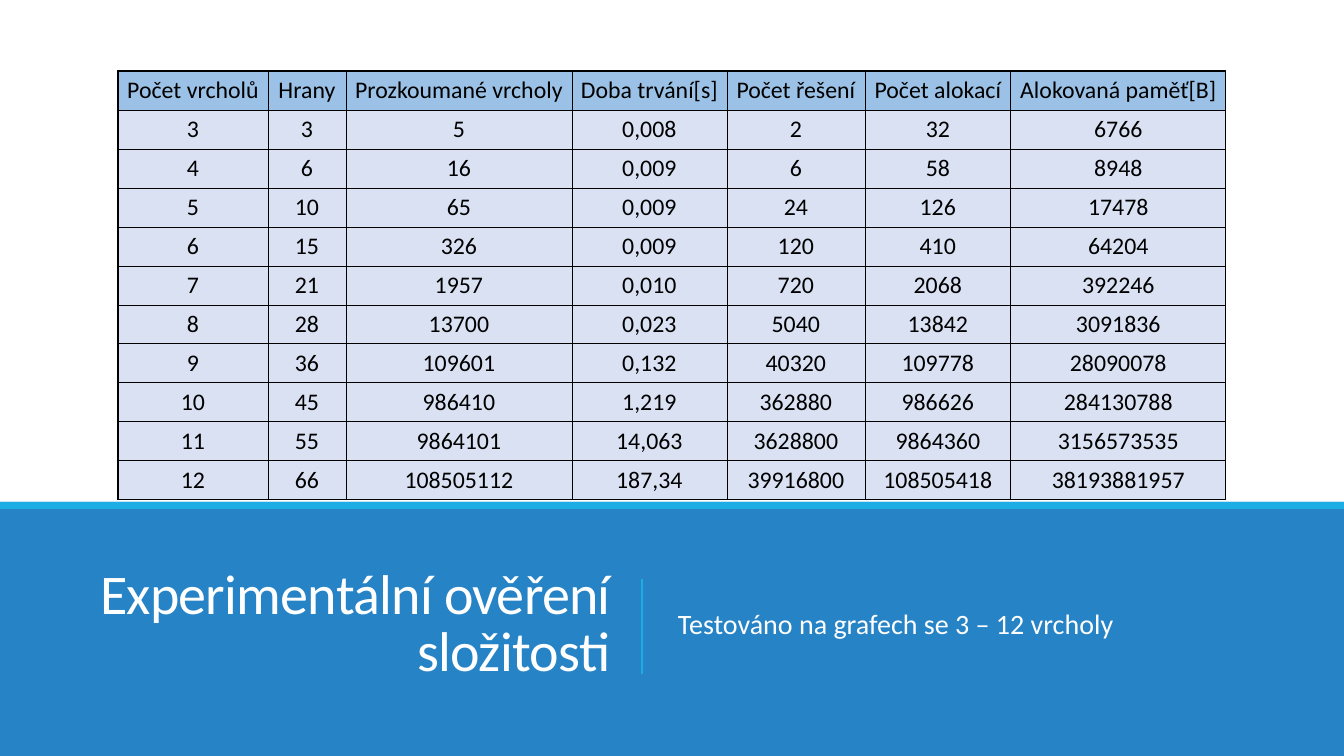
"""Build the slide with measured complexity of the graph search."""
from lxml import etree
from pptx import Presentation, util as u
from pptx.dml.color import RGBColor
from pptx.enum import shapes, text
from pptx.oxml import ns

PIXEL = 914400 / 100.8
FONT = "Calibri"
WHITE = RGBColor(0xFF, 0xFF, 0xFF)
BLACK = RGBColor(0x00, 0x00, 0x00)
BLUE = RGBColor(0x26, 0x83, 0xC6)
CYAN = RGBColor(0x1C, 0xAD, 0xE4)
HEADER_FILL = RGBColor(0x9B, 0xC2, 0xE6)
BODY_FILL = RGBColor(0xD9, 0xE1, 0xF2)

COLUMN_WIDTHS = [150, 78, 226, 155, 138, 146, 215]
ROW_HEIGHT = 39
RESULTS = [
    ["Počet vrcholů", "Hrany", "Prozkoumané vrcholy", "Doba trvání[s]",
     "Počet řešení", "Počet alokací", "Alokovaná paměť[B]"],
    ["3", "3", "5", "0,008", "2", "32", "6766"],
    ["4", "6", "16", "0,009", "6", "58", "8948"],
    ["5", "10", "65", "0,009", "24", "126", "17478"],
    ["6", "15", "326", "0,009", "120", "410", "64204"],
    ["7", "21", "1957", "0,010", "720", "2068", "392246"],
    ["8", "28", "13700", "0,023", "5040", "13842", "3091836"],
    ["9", "36", "109601", "0,132", "40320", "109778", "28090078"],
    ["10", "45", "986410", "1,219", "362880", "986626", "284130788"],
    ["11", "55", "9864101", "14,063", "3628800", "9864360", "3156573535"],
    ["12", "66", "108505112", "187,34", "39916800", "108505418", "38193881957"],
]


def px(*lengths):
    """Turn pixels into EMU."""
    return [u.Emu(round(length * PIXEL)) for length in lengths]


def add_run(paragraph, words, size, color):
    """Add one run of text to a paragraph."""
    run = paragraph.add_run()
    run.text = words
    run.font.name = FONT
    run.font.size = u.Pt(size)
    run.font.color.rgb = color
    return run


presentation = Presentation()
presentation.slide_width, presentation.slide_height = px(1344, 756)
slide = presentation.slides.add_slide(presentation.slide_layouts[6])

for top, height, color in [(502, 254, BLUE), (502, 7, CYAN)]:
    band = slide.shapes.add_shape(shapes.MSO_SHAPE.RECTANGLE, *px(0, top, 1344, height))
    band.shadow.inherit = False
    band.fill.solid()
    band.fill.fore_color.rgb = color
    band.line.fill.background()

divider = slide.shapes.add_connector(shapes.MSO_CONNECTOR.STRAIGHT, *px(642, 579, 642, 674))
divider.line.color.rgb = CYAN
divider.line.width = u.Pt(1.25)
etree.SubElement(divider.element.spPr, ns.qn("a:effectLst"))

captions = [
    (70, 550, 10, "Experimentální ověření složitosti", 40, text.PP_ALIGN.RIGHT, 0.85, 0, 0),
    (668, 606, 10, "Testováno na grafech se 3 – 12 vrcholy", 20, text.PP_ALIGN.LEFT, 0.9, 12, 2),
]
for left, width, inset, words, size, alignment, spacing, before, after in captions:
    frame = slide.shapes.add_textbox(*px(left, 540, width, 171)).text_frame
    frame.word_wrap = True
    frame.vertical_anchor = text.MSO_ANCHOR.MIDDLE
    frame.margin_left, frame.margin_right = px(inset, inset)
    paragraph = frame.paragraphs[0]
    paragraph.alignment = alignment
    paragraph.line_spacing = spacing
    paragraph.space_before = u.Pt(before)
    paragraph.space_after = u.Pt(after)
    run = add_run(paragraph, words, size, WHITE)
    if size == 40:
        run.font._element.set("spc", "-50")

row_count, column_count = len(RESULTS), len(COLUMN_WIDTHS)
table = slide.shapes.add_table(
    row_count, column_count,
    *px(118, 71, sum(COLUMN_WIDTHS), ROW_HEIGHT * row_count)).table
for column, width in zip(table.columns, COLUMN_WIDTHS):
    column.width = px(width)[0]
for row in table.rows:
    row.height = px(ROW_HEIGHT)[0]

for row_index, values in enumerate(RESULTS):
    for column_index, value in enumerate(values):
        cell = table.cell(row_index, column_index)
        cell.margin_left, cell.margin_right = px(1, 1)
        outer_sides = {
            "lnL": column_index == 0,
            "lnR": column_index == column_count - 1,
            "lnT": row_index == 0,
            "lnB": row_index == row_count - 1,
        }
        properties = cell._tc.get_or_add_tcPr()
        for side, is_outer in outer_sides.items():
            border = etree.SubElement(properties, ns.qn("a:" + side))
            border.set("w", str(u.Pt(1 if is_outer else 0.5)))
            fill = etree.SubElement(border, ns.qn("a:solidFill"))
            etree.SubElement(fill, ns.qn("a:srgbClr")).set("val", str(BLACK))
        cell.fill.solid()
        cell.fill.fore_color.rgb = HEADER_FILL if row_index == 0 else BODY_FILL
        paragraph = cell.text_frame.paragraphs[0]
        paragraph.alignment = text.PP_ALIGN.CENTER
        add_run(paragraph, value, 17, BLACK)

presentation.save("out.pptx")
